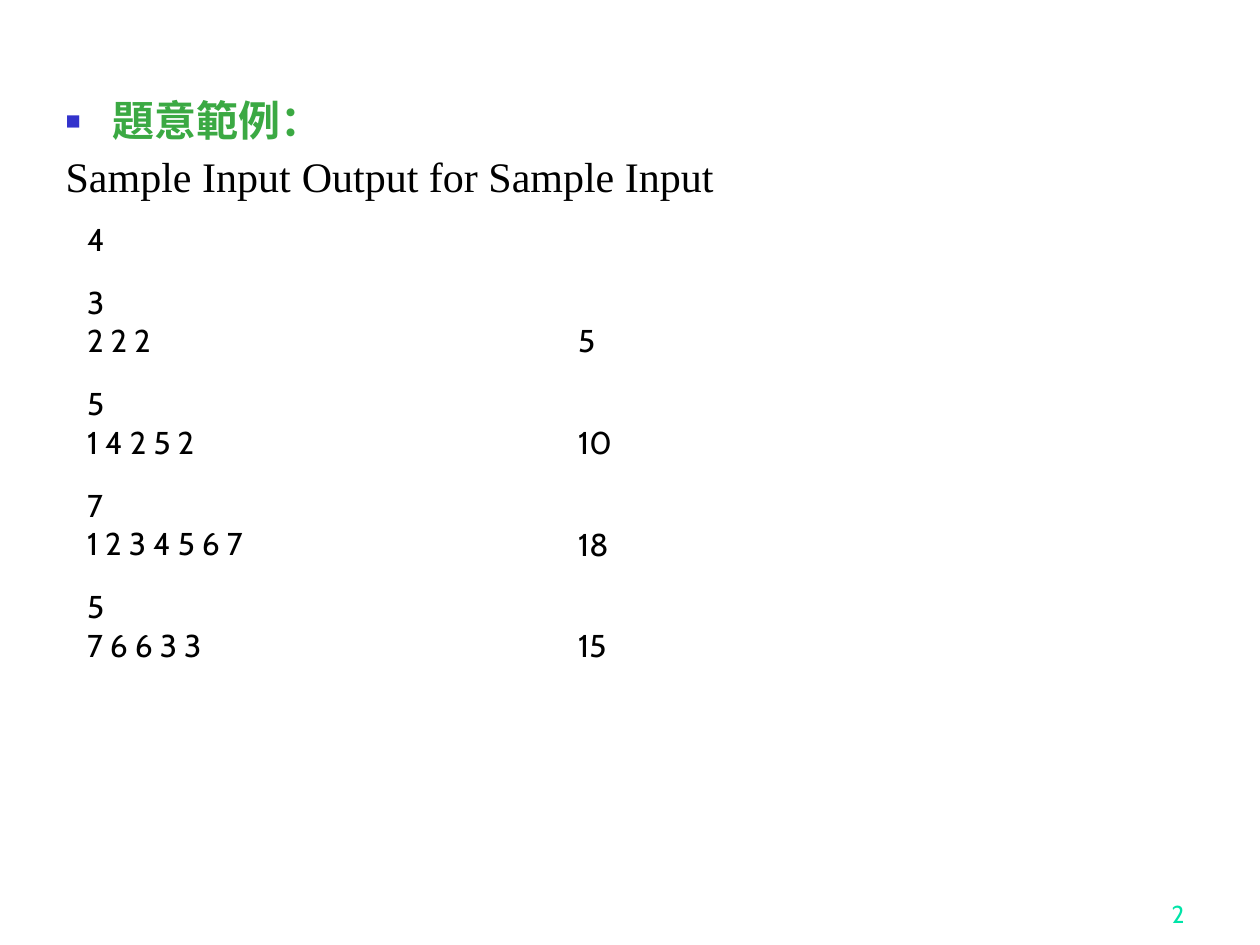
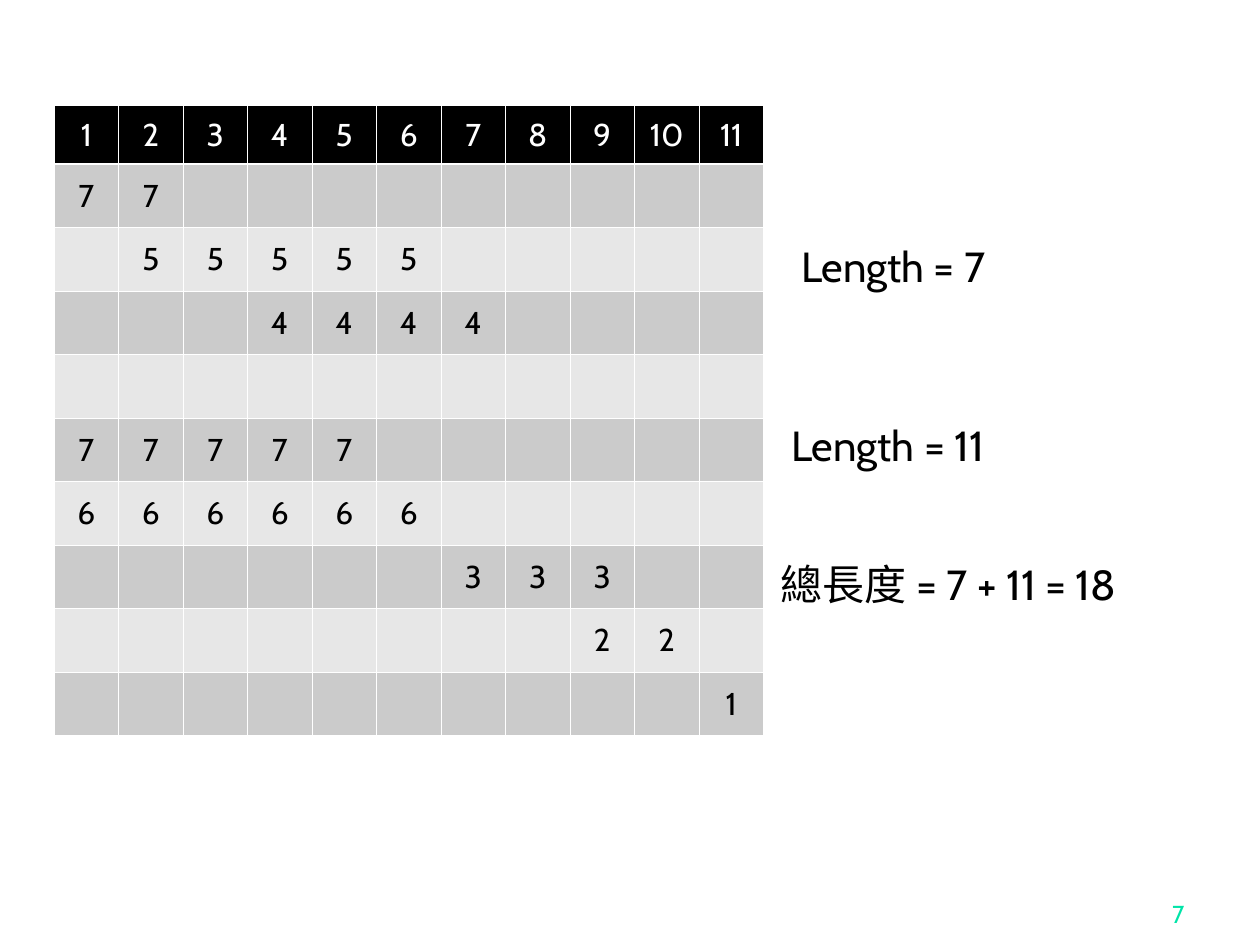
from lxml import etree
from pptx import Presentation
from pptx.dml.color import RGBColor
from pptx.enum.text import MSO_ANCHOR, MSO_AUTO_SIZE, PP_ALIGN
from pptx.oxml.ns import qn
from pptx.util import Cm, Pt

LEFT, CENTER, RIGHT = PP_ALIGN.LEFT, PP_ALIGN.CENTER, PP_ALIGN.RIGHT
TOP, MIDDLE, BOTTOM = MSO_ANCHOR.TOP, MSO_ANCHOR.MIDDLE, MSO_ANCHOR.BOTTOM
FIXED = MSO_AUTO_SIZE.NONE
BODY, BLANK = 1, 6

COLORS = {
    "white": "FFFFFF", "black": "000000", "green": "3BA943", "blue": "3333CC",
    "mint": "00E4A8", "dark": "CBCBCB", "light": "E7E7E7",
}
SANS, SERIF = "Cabin", "Times New Roman"
LINE = Cm(0.78)
THIN, THICK = Pt(0.45), Pt(1.47)


def rgb(name):
    return RGBColor.from_string(COLORS[name])


def add(parent, tag, **attrs):
    node = etree.SubElement(parent, qn(tag))
    for key, value in attrs.items():
        node.set(key, str(value))
    return node


class Deck:
    def __init__(self):
        self.prs = Presentation()
        self.prs.slide_width, self.prs.slide_height = Cm(25.4), Cm(19.05)

    def page(self, layout, number):
        self.slide = self.prs.slides.add_slide(self.prs.slide_layouts[layout])
        if self.slide.shapes.title is not None:
            title = self.slide.shapes.title.element
            title.getparent().remove(title)
        self.text(number, (18.85, 17.58, 5.28, 1.27), 14, "mint", RIGHT, BOTTOM)

    def style(self, para, size, color="black", face=SANS, bold=False, align=LEFT):
        para.alignment = align
        font = para.font
        font.size, font.name, font.bold = Pt(size), face, bold
        font.color.rgb = rgb(color)

    def text(self, words, area, size=24, color="black", align=LEFT, anchor=TOP):
        frame = self.slide.shapes.add_textbox(*map(Cm, area)).text_frame
        frame.word_wrap, frame.vertical_anchor = True, anchor
        frame.text = words
        self.style(frame.paragraphs[0], size, color, align=align)

    def body(self, head, labels, area, stop):
        """Fill the body with a bulleted heading and labels parted by a tab."""
        box = self.slide.placeholders[1]
        box.left, box.top, box.width, box.height = map(Cm, area)
        frame = box.text_frame
        frame.auto_size = FIXED
        frame.text = head + "\n" + "\t".join(labels)
        first, second = frame.paragraphs
        for para, space in ((first, 0), (second, 6)):
            para.line_spacing, para.space_before = 0.9, Pt(space)
            props = para._p.get_or_add_pPr()
            props.set("marL", str(Cm(0.95)))
            props.set("indent", str(Cm(-0.95)))
        mark = first._p.pPr
        add(add(mark, "a:buClr"), "a:srgbClr", val=COLORS["blue"])
        add(mark, "a:buSzPct", val=60000)
        add(mark, "a:buChar", char="■")
        add(second._p.pPr, "a:buNone")
        add(add(second._p.pPr, "a:tabLst"), "a:tab", pos=Cm(stop), algn="l")
        self.style(first, 24, "green", SERIF, True)
        self.style(second, 24, "black", SERIF)

    def table(self, spot, width, heights, cols):
        """Add a plain table with equal columns; lengths are in cm."""
        size = (width * cols, sum(heights))
        table = self.slide.shapes.add_table(
            len(heights), cols, *map(Cm, spot + size)).table
        table.first_row = table.horz_banding = False
        for col in table.columns:
            col.width = Cm(width)
        for row, height in zip(table.rows, heights):
            row.height = Cm(height)
        return table

    def cell(self, cell, words, fill="white", color="black", align=LEFT, anchor=TOP):
        cell.text, cell.vertical_anchor = words, anchor
        for para in cell.text_frame.paragraphs:
            self.style(para, 18, color, align=align)
        cell.fill.solid()
        cell.fill.fore_color.rgb = rgb(fill)

    def edges(self, cell, top=THIN, bottom=THIN):
        props = cell._tc.get_or_add_tcPr()
        sides = (("L", THIN), ("R", THIN), ("T", top), ("B", bottom))
        for at, (side, width) in enumerate(sides):
            line = add(props, f"a:ln{side}", w=width)
            add(add(line, "a:solidFill"), "a:srgbClr", val=COLORS["white"])
            props.insert(at, line)


def samples(deck):
    deck.page(BODY, "2")
    deck.body("題意範例：", ("Sample Input", "Output for Sample Input"),
              (1.07, 1.9, 22.43, 15.62), 10.16)
    cases = [("4", ""), ("3\n2 2 2", "5"), ("5\n1 4 2 5 2", "10"),
             ("7\n1 2 3 4 5 6 7", "18"), ("5\n7 6 6 3 3", "15")]
    table = deck.table((1.5, 4.32), 9.9, [1.27] + [2.05] * 4, 2)
    for row, (given, answer) in enumerate(cases):
        deck.cell(table.cell(row, 0), given)
        result = table.cell(row, 1)
        deck.cell(result, answer)
        if answer:
            result.margin_top += LINE


def lengths(deck):
    deck.page(BLANK, "7")
    # Each bar: value, first column, last column
    bars = [(7, 1, 2), (5, 2, 6), (4, 4, 7), None, (7, 1, 5),
            (6, 1, 6), (3, 7, 9), (2, 9, 10), (1, 11, 11)]
    cols = 11
    table = deck.table((1.09, 2.13), 1.3, [1.18] + [1.28] * len(bars), cols)
    for col in range(cols):
        head = table.cell(0, col)
        deck.cell(head, str(col + 1), "black", "white", CENTER, MIDDLE)
        deck.edges(head, bottom=THICK)
        for row, bar in enumerate(bars, 1):
            cell = table.cell(row, col)
            shown = bar and bar[1] <= col + 1 <= bar[2]
            deck.cell(cell, str(bar[0]) if shown else "",
                      "dark" if row % 2 else "light", "black", CENTER, MIDDLE)
            deck.edges(cell, top=THICK if row == 1 else THIN)
    deck.text("Length = 7", (15.9, 4.72, 4.8, 1.27))
    deck.text("Length = 11", (15.7, 8.33, 5.41, 1.27))
    deck.text("總長度 = 7 + 11 = 18", (15.49, 11.13, 9.4, 1.27))


def main():
    deck = Deck()
    samples(deck)
    lengths(deck)
    deck.prs.save("out.pptx")


if __name__ == "__main__":
    main()
